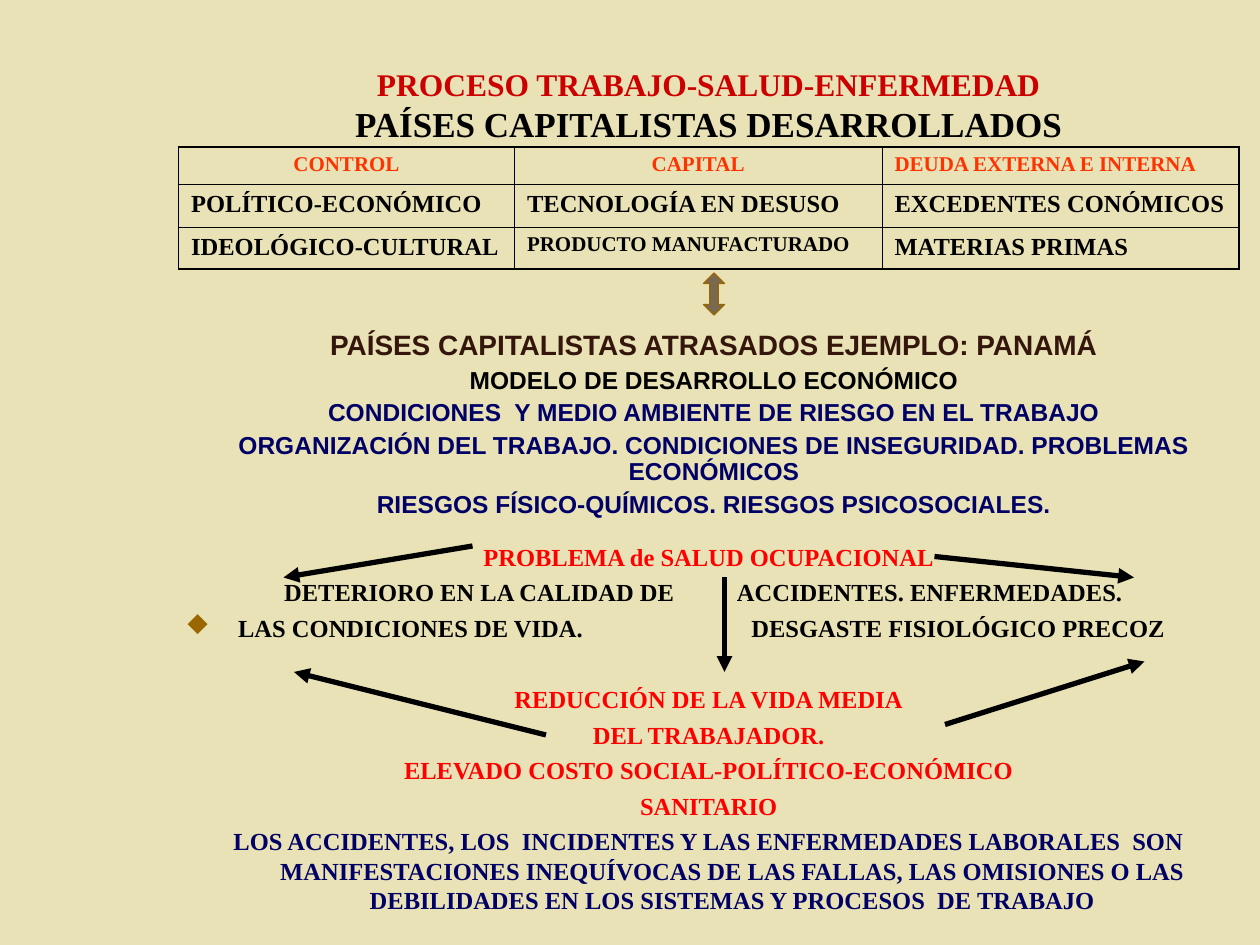
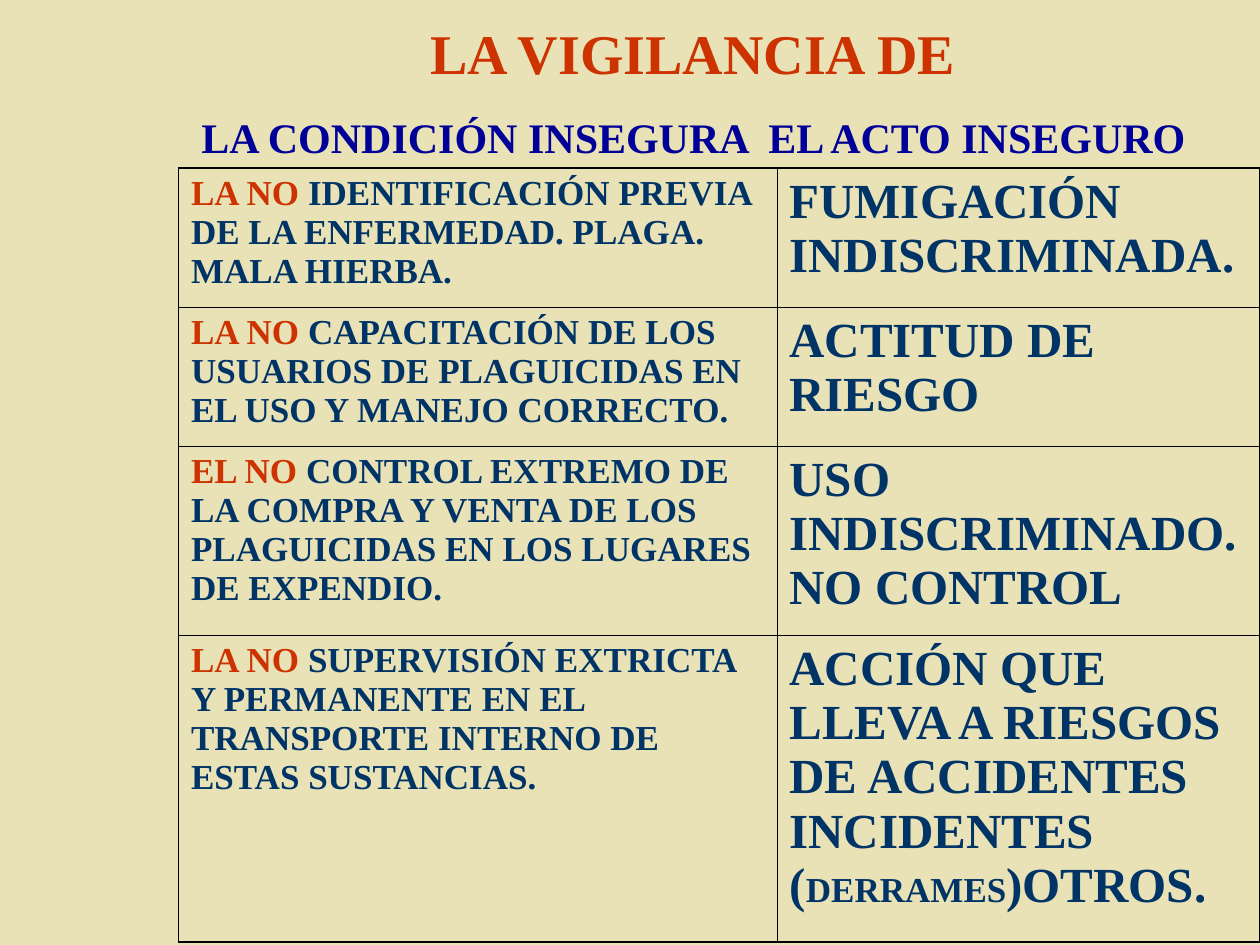
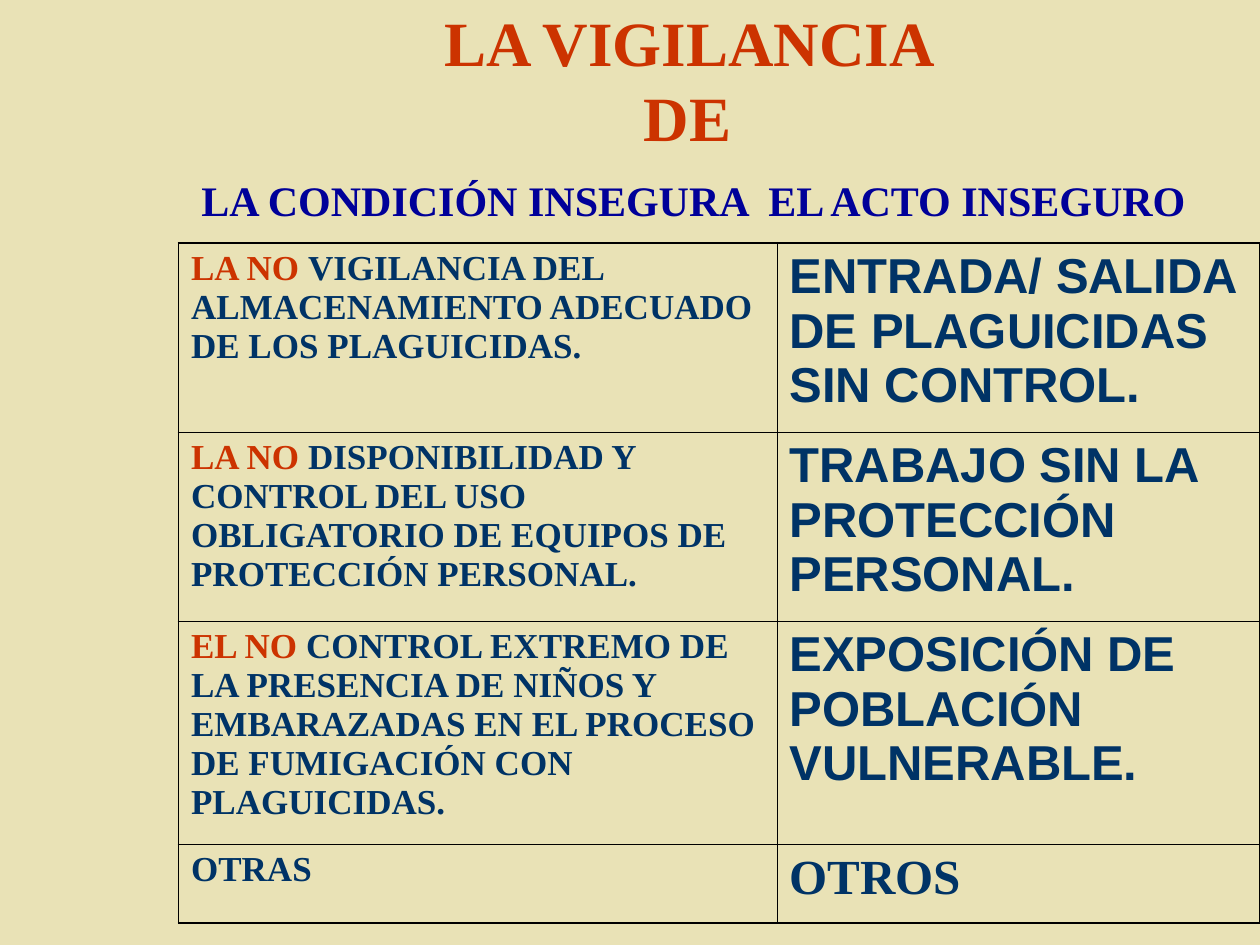
from lxml.etree import SubElement
from pptx import Presentation
from pptx.dml.color import RGBColor
from pptx.enum.shapes import MSO_CONNECTOR as CONN, MSO_SHAPE as SHAPE
from pptx.enum.text import MSO_ANCHOR as ANCHOR, MSO_AUTO_SIZE as AUTO, PP_ALIGN as ALIGN
from pptx.oxml.ns import qn
from pptx.util import Emu, Pt

PX = 9525  # EMU in one px, 96 px to the inch
SERIF, SANS = "Times New Roman", "Arial"
DIAMOND = ("Wingdings", "u")  # symbol font and the key of its diamond
COLORS = {
    "paper": "E9E2B6", "black": "000000", "crimson": "CC0000", "red": "FF0000",
    "orange": "FF3300", "rust": "CC3300", "navy": "000066", "blue": "000099",
    "petrol": "003366", "brown": "34160C", "ochre": "996600", "taupe": "786950",
}


def px(value):
    return Emu(value * PX)


def rgb(name):
    return RGBColor.from_string(COLORS[name])


def solid_line(ln, color):
    fill = SubElement(ln, qn("a:solidFill"))
    SubElement(fill, qn("a:srgbClr"), val=COLORS[color])


def add_text(tf, *runs, size=14, color="black", font=SERIF, align=ALIGN.LEFT,
             before=0, spacing=None, left=0, indent=0, bullet=None, tab=None):
    """Add a paragraph; a run is a string or (string, overrides)."""
    p = tf.paragraphs[0]
    if p.runs:
        p = tf.add_paragraph()
    pPr = p._p.get_or_add_pPr()
    pPr.set("marL", str(px(left)))
    pPr.set("indent", str(px(indent)))
    if bullet:
        face, char = bullet
        clr = SubElement(pPr, qn("a:buClr"))
        SubElement(clr, qn("a:srgbClr"), val=COLORS["ochre"])
        SubElement(pPr, qn("a:buFont"), typeface=face, pitchFamily="2", charset="2")
        SubElement(pPr, qn("a:buChar"), char=char)
    if tab:
        tabs = SubElement(pPr, qn("a:tabLst"))
        SubElement(tabs, qn("a:tab"), pos=str(px(tab)), algn="l")
    p.alignment = align
    p.space_before = Pt(before)
    if spacing:
        p.line_spacing = spacing
    for run in runs:
        if run == "\n":
            p.add_line_break()
            continue
        words, own = (run, {}) if isinstance(run, str) else run
        r = p.add_run()
        r.text = words
        r.font.name = font
        r.font.bold = True
        r.font.size = Pt(own.get("size", size))
        r.font.color.rgb = rgb(own.get("color", color))


class Deck:
    def __init__(self):
        self.prs = Presentation()
        self.prs.slide_width, self.prs.slide_height = px(960), px(720)
        fill = self.prs.slide_master.background.fill
        fill.solid()
        fill.fore_color.rgb = rgb("paper")
        self.s = None

    def slide(self):
        self.s = self.prs.slides.add_slide(self.prs.slide_layouts[5])

    def title(self, box, *runs, size=32):
        sp = self.s.shapes.title
        sp.left, sp.top, sp.width, sp.height = map(px, box)
        tf = sp.text_frame
        tf.auto_size = AUTO.NONE
        tf.word_wrap = True
        tf.vertical_anchor = ANCHOR.MIDDLE
        add_text(tf, *runs, size=size, color="rust", align=ALIGN.CENTER)

    def text_box(self, *box):
        tf = self.s.shapes.add_textbox(*map(px, box)).text_frame
        tf.word_wrap = True
        return tf

    def table(self, left, top, cols, rows, cells):
        """Draw a grid; each cell is (runs, format)."""
        frame = self.s.shapes.add_table(len(rows), len(cols), px(left), px(top),
                                        px(sum(cols)), px(sum(rows)))
        tbl = frame.table
        tbl.first_row = tbl.horz_banding = False
        for c, width in enumerate(cols):
            tbl.columns[c].width = px(width)
        for r, height in enumerate(rows):
            tbl.rows[r].height = px(height)
            for c, (runs, fmt) in enumerate(cells[r]):
                cell = tbl.cell(r, c)
                outer = {"L": c == 0, "R": c == len(cols) - 1,
                         "T": r == 0, "B": r == len(rows) - 1}
                self.borders(cell, outer)
                cell.fill.background()
                add_text(cell.text_frame, *runs, **fmt)

    def borders(self, cell, outer):
        tcPr = cell._tc.get_or_add_tcPr()
        for side, is_outer in outer.items():
            width = Pt(1.08 if is_outer else 0.45)
            solid_line(SubElement(tcPr, qn("a:ln" + side), w=str(width)), "black")

    def arrow(self, x1, y1, x2, y2):
        cx = self.s.shapes.add_connector(CONN.STRAIGHT, *map(px, (x1, y1, x2, y2)))
        cx.line.width = Pt(3)
        cx.line.color.rgb = rgb("black")
        SubElement(cx.line._get_or_add_ln(), qn("a:tailEnd"), type="triangle")
        SubElement(cx._element.spPr, qn("a:effectLst"))

    def double_arrow(self, *box):
        sp = self.s.shapes.add_shape(SHAPE.UP_DOWN_ARROW, *map(px, box))
        sp.shadow.inherit = False
        sp.adjustments[0], sp.adjustments[1] = 0.5, 0.4
        sp.fill.solid()
        sp.fill.fore_color.rgb = rgb("taupe")
        sp.line.color.rgb = rgb("ochre")
        sp.line.width = Pt(0.75)

    def surveillance(self, title_box, title_size, head_top, table_top, rows, pairs, font=SERIF):
        """Slide that sets unsafe conditions beside unsafe acts."""
        self.slide()
        self.title(title_box, "LA VIGILANCIA DE", size=title_size)
        tf = self.text_box(144, head_top, 800, 48)
        add_text(tf, "LA CONDICIÓN INSEGURA\tEL ACTO INSEGURO", size=24, color="blue", tab=448)
        cells = []
        for lead, condition, *act in pairs:
            runs = [(lead + " ", {"color": "rust"}), condition] if lead else [condition]
            act_font = font if lead else SERIF
            cells.append([(runs, dict(size=20, color="petrol")),
                          (act, dict(size=28, color="petrol", font=act_font))])
        self.table(136, table_top, [456, 368], rows, cells)


def process_slide(deck):
    deck.slide()
    deck.title((132, 48, 816, 64),
               ("PROCESO TRABAJO-SALUD-ENFERMEDAD", {"size": 18, "color": "crimson"}), "\n",
               ("PAÍSES CAPITALISTAS DESARROLLADOS", {"size": 20, "color": "black"}))

    # Health problem and its effects
    tf = deck.text_box(132, 408, 816, 312)
    first = dict(left=36, indent=-36, align=ALIGN.CENTER)
    mid = dict(first, before=3.5)
    add_text(tf, "PROBLEMA de SALUD OCUPACIONAL", color="red", **first)
    add_text(tf, "DETERIORO EN LA CALIDAD DE\tACCIDENTES. ENFERMEDADES.",
             left=36, indent=39, before=3.5, tab=436)
    add_text(tf, "LAS CONDICIONES DE VIDA.\tDESGASTE FISIOLÓGICO PRECOZ",
             left=40, indent=-40, before=3.5, bullet=DIAMOND, tab=431)
    add_text(tf, "REDUCCIÓN DE LA VIDA MEDIA", color="red", **dict(mid, before=24))
    for line in ("DEL TRABAJADOR.", "ELEVADO COSTO SOCIAL-POLÍTICO-ECONÓMICO", "SANITARIO"):
        add_text(tf, line, color="red", **mid)
    add_text(tf, "LOS ACCIDENTES, LOS  INCIDENTES Y LAS ENFERMEDADES LABORALES  SON "
             "MANIFESTACIONES INEQUÍVOCAS DE LAS FALLAS, LAS OMISIONES O LAS DEBILIDADES "
             "EN LOS SISTEMAS Y PROCESOS  DE TRABAJO", color="navy", **mid)

    # Developed countries table
    head = dict(size=12, color="orange")
    head_mid = dict(head, align=ALIGN.CENTER)
    deck.table(136, 112, [256, 280, 272], [28, 32, 32], [
        [(["CONTROL"], head_mid), (["CAPITAL"], head_mid),
         (["DEUDA EXTERNA E INTERNA"], head)],
        [(["POLÍTICO-ECONÓMICO"], {}), (["TECNOLOGÍA EN DESUSO"], {}),
         (["EXCEDENTES CONÓMICOS"], {})],
        [(["IDEOLÓGICO-CULTURAL"], {}), (["PRODUCTO MANUFACTURADO"], {"size": 12}),
         (["MATERIAS PRIMAS"], {})],
    ])

    # Less developed countries
    tf = deck.text_box(136, 248, 816, 153)
    block = dict(font=SANS, align=ALIGN.CENTER, spacing=0.9)
    add_text(tf, "PAÍSES CAPITALISTAS ATRASADOS EJEMPLO: PANAMÁ", size=16, color="brown", **block)
    for line, color in (
        ("MODELO DE DESARROLLO ECONÓMICO", "black"),
        ("CONDICIONES  Y MEDIO AMBIENTE DE RIESGO EN EL TRABAJO", "navy"),
        ("ORGANIZACIÓN DEL TRABAJO. CONDICIONES DE INSEGURIDAD. PROBLEMAS ECONÓMICOS", "navy"),
        ("RIESGOS FÍSICO-QUÍMICOS. RIESGOS PSICOSOCIALES.", "navy"),
    ):
        add_text(tf, line, color=color, before=3.5, **block)

    # Arrows
    for ends in ((360, 416, 216, 440), (712, 424, 864, 440), (416, 560, 224, 512),
                 (720, 552, 872, 504), (552, 440, 552, 512)):
        deck.arrow(*ends)
    deck.double_arrow(536, 208, 16, 32)


def main():
    deck = Deck()
    process_slide(deck)
    deck.surveillance((304, 16, 448, 48), 32, 80, 128, [106, 106, 144, 233], [
        ("LA NO", "IDENTIFICACIÓN PREVIA DE LA ENFERMEDAD. PLAGA. MALA HIERBA.",
         "FUMIGACIÓN INDISCRIMINADA."),
        ("LA NO", "CAPACITACIÓN DE LOS USUARIOS DE PLAGUICIDAS EN EL USO Y MANEJO CORRECTO.",
         "ACTITUD DE RIESGO"),
        ("EL NO", "CONTROL EXTREMO DE LA COMPRA Y VENTA DE LOS PLAGUICIDAS EN LOS LUGARES "
         "DE EXPENDIO.", "USO INDISCRIMINADO. NO CONTROL"),
        ("LA NO", "SUPERVISIÓN EXTRICTA Y PERMANENTE EN EL TRANSPORTE INTERNO DE ESTAS "
         "SUSTANCIAS.", "ACCIÓN QUE LLEVA A RIESGOS DE ACCIDENTES INCIDENTES (",
         ("DERRAMES", {"size": 20}), ")OTROS."),
    ])
    deck.surveillance((296, 16, 456, 88), 36, 128, 185, [144, 144, 170, 60], [
        ("LA NO", "VIGILANCIA DEL ALMACENAMIENTO ADECUADO DE LOS PLAGUICIDAS.",
         "ENTRADA/ SALIDA DE PLAGUICIDAS SIN CONTROL."),
        ("LA NO", "DISPONIBILIDAD Y CONTROL DEL USO OBLIGATORIO DE EQUIPOS DE PROTECCIÓN "
         "PERSONAL.", "TRABAJO SIN LA PROTECCIÓN PERSONAL."),
        ("EL NO", "CONTROL EXTREMO DE LA PRESENCIA DE NIÑOS Y EMBARAZADAS EN EL PROCESO DE "
         "FUMIGACIÓN CON PLAGUICIDAS.", "EXPOSICIÓN DE POBLACIÓN VULNERABLE."),
        (None, "OTRAS", "OTROS"),
    ], font=SANS)
    deck.prs.save("out.pptx")


if __name__ == "__main__":
    main()
